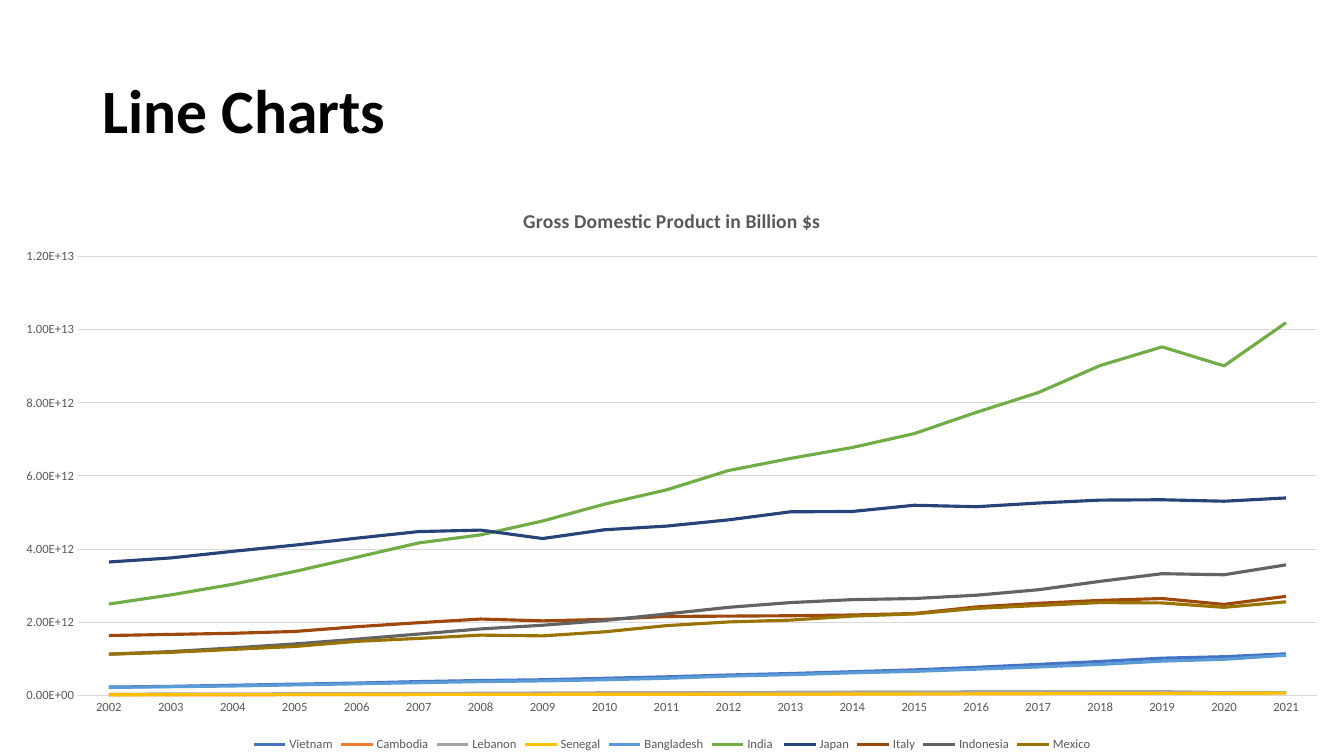
from lxml import etree
from pptx import Presentation
from pptx.chart.data import CategoryChartData
from pptx.dml.color import RGBColor
from pptx.enum import chart as ch, text
from pptx.oxml.ns import qn
from pptx.util import Cm, Pt

FONT = "Calibri"
GREY = "595959"
RULE = "D9D9D9"
BILLION = 10 ** 9
YEARS = range(2002, 2022)
GDP_IN_BILLIONS = {
    "Vietnam": ("4472C4", [230, 250, 280, 310, 340, 380, 410, 430, 470, 510,
                           560, 600, 650, 700, 770, 850, 930, 1020, 1060, 1140]),
    "Cambodia": ("ED7D31", [16, 17, 20, 23, 26, 30, 32, 32, 35, 38,
                            42, 46, 49, 53, 58, 63, 69, 75, 74, 79]),
    "Lebanon": ("A5A5A5", [38, 40, 44, 47, 49, 55, 61, 68, 74, 76,
                           82, 88, 94, 98, 101, 104, 106, 105, 82, 80]),
    "Senegal": ("FFC000", [21, 23, 25, 26, 28, 29, 31, 32, 34, 35,
                           37, 38, 40, 43, 46, 49, 54, 57, 59, 65]),
    "Bangladesh": ("5B9BD5", [220, 240, 260, 290, 320, 350, 380, 400, 430, 470,
                              530, 570, 620, 660, 720, 780, 850, 940, 990, 1100]),
    "India ": ("70AD47", [2500, 2750, 3040, 3390, 3780, 4170, 4390, 4770, 5230, 5620,
                          6150, 6480, 6780, 7160, 7740, 8280, 9020, 9530, 9010, 10190]),
    "Japan": ("264478", [3650, 3760, 3940, 4110, 4300, 4480, 4520, 4290, 4530, 4630,
                         4800, 5020, 5030, 5200, 5160, 5260, 5340, 5350, 5310, 5400]),
    "Italy": ("9E480E", [1640, 1670, 1700, 1750, 1880, 1990, 2090, 2040, 2080, 2160,
                         2170, 2180, 2200, 2240, 2420, 2520, 2600, 2650, 2490, 2710]),
    "Indonesia": ("636363", [1130, 1200, 1300, 1410, 1540, 1680, 1820, 1920, 2050, 2230,
                             2410, 2540, 2620, 2650, 2740, 2890, 3120, 3330, 3300, 3570]),
    "Mexico": ("997300", [1130, 1180, 1260, 1340, 1480, 1560, 1650, 1630, 1740, 1910,
                          2010, 2060, 2170, 2230, 2380, 2460, 2540, 2530, 2410, 2560]),
}


def rgb(value):
    return RGBColor.from_string(value)


def style_font(font, size, color, bold=False):
    font.name = FONT
    font.size = Pt(size)
    font.bold = bold
    font.color.rgb = rgb(color)


def style_line(line, color, width):
    line.color.rgb = rgb(color)
    line.width = Pt(width)


def add_heading(slide, wording):
    heading = slide.shapes.title
    heading.left, heading.top = Cm(2.33), Cm(1.01)
    heading.width, heading.height = Cm(29.21), Cm(3.68)
    frame = heading.text_frame
    frame.text = wording
    frame.word_wrap = True
    frame.vertical_anchor = text.MSO_ANCHOR.MIDDLE
    paragraph = frame.paragraphs[0]
    paragraph.alignment = text.PP_ALIGN.LEFT
    paragraph.line_spacing = 0.9
    style_font(paragraph.font, 44, "000000", True)


def place_plot(chart, **fractions):
    plot_area = chart.plots[0]._element.getparent()
    for old in plot_area.findall(qn("c:layout")):
        plot_area.remove(old)
    layout = etree.Element(qn("c:layout"))
    plot_area.insert(0, layout)
    manual = etree.SubElement(layout, qn("c:manualLayout"))
    settings = {"layoutTarget": "inner", "xMode": "edge", "yMode": "edge", **fractions}
    for tag, value in settings.items():
        etree.SubElement(manual, qn(f"c:{tag}")).set("val", str(value))


def style_axes(chart):
    years, amounts = chart.category_axis, chart.value_axis
    for axis in (years, amounts):
        axis.major_tick_mark = axis.minor_tick_mark = ch.XL_TICK_MARK.NONE
        style_font(axis.tick_labels.font, 9, GREY)
    years.has_major_gridlines = False
    style_line(years.format.line, RULE, 0.75)
    amounts.minimum_scale = 0
    amounts.maximum_scale = 12000 * BILLION
    amounts.major_unit = 2000 * BILLION
    amounts.format.line.fill.background()
    style_line(amounts.major_gridlines.format.line, RULE, 0.75)
    amounts.tick_labels.number_format = "0.00E+00"
    amounts.tick_labels.number_format_is_linked = False


def add_gdp_chart(slide, wording):
    data = CategoryChartData(number_format="0.00E+00")
    data.categories = [str(year) for year in YEARS]
    for country, (_, amounts) in GDP_IN_BILLIONS.items():
        data.add_series(country, [amount * BILLION for amount in amounts])
    chart = slide.shapes.add_chart(
        ch.XL_CHART_TYPE.LINE, Cm(0), Cm(4.7), Cm(33.87), Cm(14.35), data).chart
    style_font(chart.font, 10, "000000")
    chart.has_title = True
    caption = chart.chart_title.text_frame
    caption.text = wording
    style_font(caption.paragraphs[0].font, 14, GREY, True)
    chart.chart_title.include_in_layout = False
    chart.has_legend = True
    chart.legend.position = ch.XL_LEGEND_POSITION.BOTTOM
    chart.legend.include_in_layout = False
    style_font(chart.legend.font, 9, GREY)
    style_axes(chart)
    place_plot(chart, x=0.058, y=0.123, w=0.922, h=0.771)
    chart.plots[0].vary_by_categories = False
    for country, (color, _) in zip(chart.plots[0].series, GDP_IN_BILLIONS.values()):
        country.smooth = False
        country.marker.style = ch.XL_MARKER_STYLE.NONE
        style_line(country.format.line, color, 2.25)


def main():
    deck = Presentation()
    deck.slide_width, deck.slide_height = Cm(33.87), Cm(19.05)
    slide = deck.slides.add_slide(deck.slide_layouts[5])
    add_heading(slide, "Line Charts")
    add_gdp_chart(slide, "Gross Domestic Product in Billion $s")
    deck.save("out.pptx")


if __name__ == "__main__":
    main()
